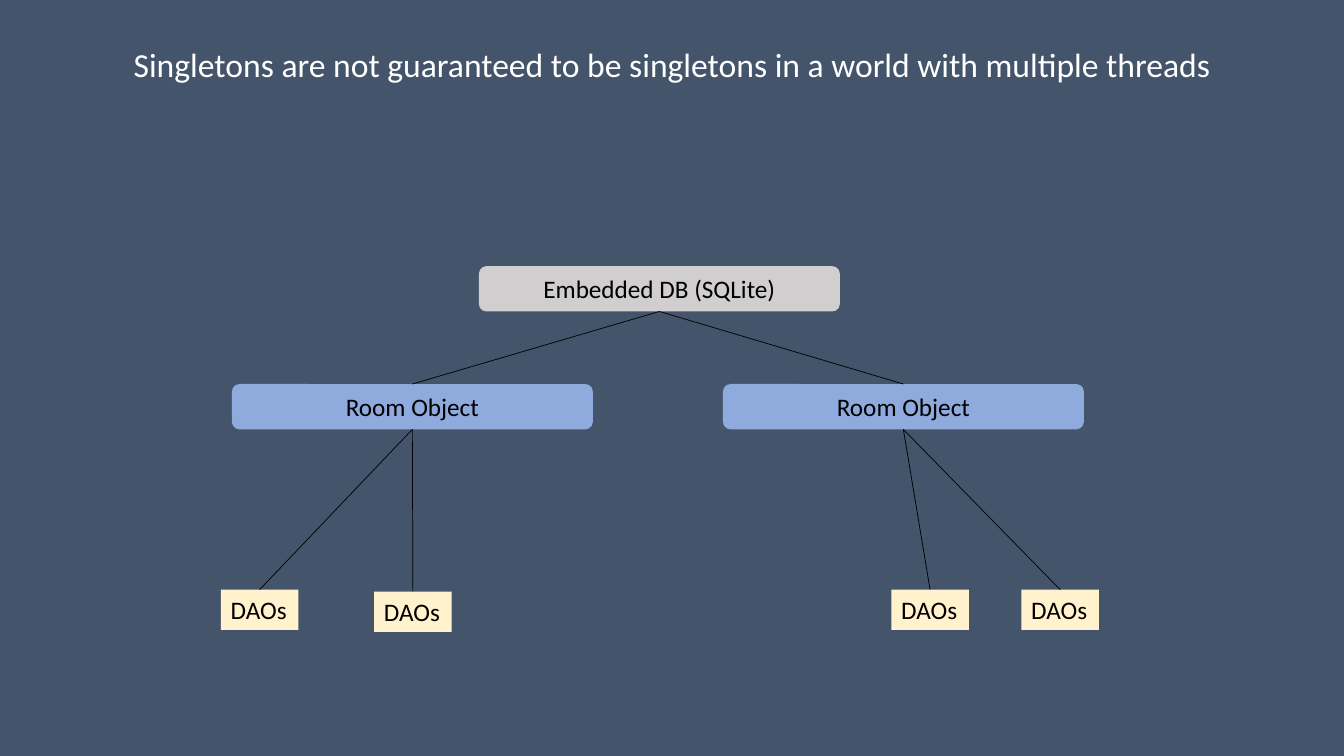
from pptx import Presentation
from pptx.dml.color import RGBColor
from pptx.enum.shapes import MSO_CONNECTOR, MSO_SHAPE
from pptx.enum.text import MSO_ANCHOR, PP_ALIGN
from pptx.oxml.ns import qn
from pptx.util import Inches, Pt
from lxml import etree

ROUNDED, RECTANGLE = MSO_SHAPE.ROUNDED_RECTANGLE, MSO_SHAPE.RECTANGLE
STRAIGHT = MSO_CONNECTOR.STRAIGHT
MIDDLE = MSO_ANCHOR.MIDDLE
LEFT, CENTER = PP_ALIGN.LEFT, PP_ALIGN.CENTER

SLATE = RGBColor(0x44, 0x54, 0x6A)
GREY = RGBColor(0xD0, 0xCE, 0xCE)
BLUE = RGBColor(0x8F, 0xAA, 0xDC)
CREAM = RGBColor(0xFF, 0xF2, 0xCC)
BLACK = RGBColor(0, 0, 0)
WHITE = RGBColor(0xFF, 0xFF, 0xFF)

FONT = "Calibri"
BAR_SIZE = (3.58, 0.45)
DAO_SIZE = (0.77, 0.4)
TOP_SITE, BOTTOM_SITE = 0, 2

# Left edge of each room object, then the left and top of its DAOs,
# all relative to the tree's own corner
ROOMS = [
    (0.11, [(0, 3.21), (1.52, 3.23)]),
    (4.98, [(6.65, 3.21), (7.94, 3.21)]),
]


def write_text(box, text, size, color, align):
    frame = box.text_frame
    frame.word_wrap = True
    frame.vertical_anchor = MIDDLE
    para = frame.paragraphs[0]
    para.text = text
    para.alignment = align
    para.font.name = FONT
    para.font.size = Pt(size)
    para.font.color.rgb = color
    return para


def add_title(slide, left, top, width, height, text):
    box = slide.shapes.add_textbox(
        Inches(left), Inches(top), Inches(width), Inches(height))
    write_text(box, text, 24, WHITE, CENTER).line_spacing = 0.9


def add_node(slide, kind, left, top, size, fill, text, align):
    width, height = size
    node = slide.shapes.add_shape(
        kind, Inches(left), Inches(top), Inches(width), Inches(height))
    node.shadow.inherit = False
    node.fill.solid()
    node.fill.fore_color.rgb = fill
    node.line.fill.background()
    write_text(node, text, 18, BLACK, align)
    return node


def link(slide, parent, child):
    """Join the bottom of the parent to the top of the child."""
    line = slide.shapes.add_connector(STRAIGHT, 0, 0, 0, 0)
    line.begin_connect(parent, BOTTOM_SITE)
    line.end_connect(child, TOP_SITE)
    line.line.color.rgb = BLACK
    line.line.width = Pt(0.5)
    etree.SubElement(line._element.spPr, qn("a:effectLst"))


def add_database_tree(slide, left, top):
    database = add_node(slide, ROUNDED, left + 2.56, top, BAR_SIZE, GREY,
                        "Embedded DB (SQLite)", CENTER)
    for room_left, daos in ROOMS:
        room = add_node(slide, ROUNDED, left + room_left, top + 1.17, BAR_SIZE,
                        BLUE, "Room Object", CENTER)
        link(slide, database, room)
        for dao_left, dao_top in daos:
            dao = add_node(slide, RECTANGLE, left + dao_left, top + dao_top,
                           DAO_SIZE, CREAM, "DAOs", LEFT)
            link(slide, room, dao)


def main():
    deck = Presentation()
    deck.slide_width, deck.slide_height = Inches(13.33), Inches(7.5)
    slide = deck.slides.add_slide(deck.slide_layouts[6])
    slide.background.fill.solid()
    slide.background.fill.fore_color.rgb = SLATE
    add_database_tree(slide, 2.19, 2.64)
    add_title(slide, 0.24, 0.3, 12.85, 0.72,
              "Singletons are not guaranteed to be singletons "
              "in a world with multiple threads")
    deck.save("out.pptx")


if __name__ == "__main__":
    main()
